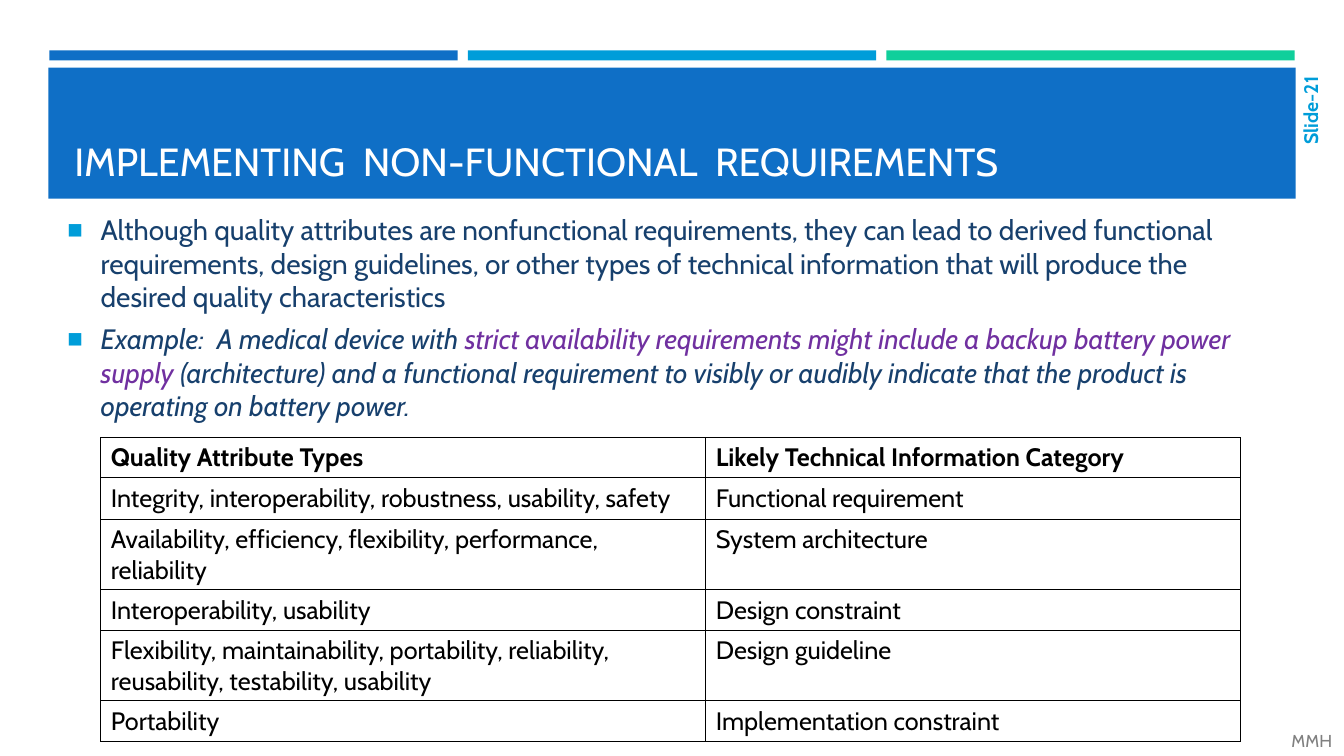
from lxml import etree
from pptx import Presentation, util as u
from pptx.dml.color import RGBColor
from pptx.enum import shapes, text
from pptx.oxml.ns import qn

PX = 9144  # 100 px to the inch
COLORS = {"blue": "0F6FC6", "cyan": "009DD9", "green": "10CF9B", "white": "FFFFFF",
          "navy": "17406D", "purple": "7030A0", "black": "000000", "gray": "808080"}


def add_span(para, words, size, color, **format_values):
    span = para.add_run()
    span.text = words
    span.font.name = "Cabin"
    span.font.size = u.Pt(size)
    span.font.color.rgb = RGBColor.from_string(COLORS[color])
    for name, value in format_values.items():
        setattr(span.font, name, value)


def add_box(left, top, width, height, anchor=text.MSO_ANCHOR.MIDDLE):
    """Add a wrapping text box and return its text frame."""
    box = page.shapes.add_textbox(left * PX, top * PX, width * PX, height * PX)
    box.text_frame.word_wrap = True
    box.text_frame.vertical_anchor = anchor
    return box.text_frame


deck = Presentation()
deck.slide_width, deck.slide_height = 1333 * PX, 750 * PX
page = deck.slides.add_slide(deck.slide_layouts[6])

# Three thin bars above the title band
bands = [(49 + 415 * column, 50, 405, 10, color)
         for column, color in enumerate(["blue", "cyan", "green"])]
bands.append((48, 67, 1237, 130, "blue"))
for left, top, width, height, color in bands:
    band = page.shapes.add_shape(shapes.MSO_SHAPE.RECTANGLE,
                                 left * PX, top * PX, width * PX, height * PX)
    band.shadow.inherit = False
    band.fill.solid()
    band.fill.fore_color.rgb = RGBColor.from_string(COLORS[color])
    band.line.fill.background()

title = add_box(64, 77, 1206, 111, text.MSO_ANCHOR.BOTTOM)
add_span(title.paragraphs[0], "IMPLEMENTING  NON-FUNCTIONAL  REQUIREMENTS", 28, "white")

# Bulleted body
bullets = [
    [("Although quality attributes are nonfunctional requirements, they can lead to derived "
      "functional requirements, design guidelines, or other types of technical information "
      "that will produce the desired quality characteristics", "navy", False)],
    [("Example:  A medical device with ", "navy", True),
     ("strict availability requirements might include a backup battery power supply ",
      "purple", True),
     ("(architecture) and a functional requirement to visibly or audibly indicate that the "
      "product is operating on battery power.", "navy", True)],
]
body = add_box(57, 210, 1206, 210)
for index, spans in enumerate(bullets):
    para = body.add_paragraph() if index else body.paragraphs[0]
    para.space_after = u.Pt(6)
    properties = para._p.get_or_add_pPr()
    properties.set("marL", str(33 * PX))
    properties.set("indent", str(-33 * PX))
    bullet_color = etree.SubElement(properties, qn("a:buClr"))
    etree.SubElement(bullet_color, qn("a:srgbClr"), val=COLORS["cyan"])
    etree.SubElement(properties, qn("a:buSzPct"), val="92000")
    etree.SubElement(properties, qn("a:buFont"), typeface="Arial")
    etree.SubElement(properties, qn("a:buChar"), char="■")
    for words, color, italic in spans:
        add_span(para, words, 20, color, italic=italic)

slide_number = add_box(1287, 66, 25, 91)
slide_number._txBody.bodyPr.set("vert", "vert270")
slide_number.paragraphs[0].alignment = text.PP_ALIGN.RIGHT
add_span(slide_number.paragraphs[0], "Slide-21", 14, "cyan", bold=True)

# Table of attribute types, each row with its height
rows = [
    (38, "Quality Attribute Types", "Likely Technical Information Category"),
    (41, "Integrity, interoperability, robustness, usability, safety",
     "Functional requirement"),
    (66, "Availability, efficiency, flexibility, performance, reliability",
     "System architecture"),
    (38, "Interoperability, usability", "Design constraint"),
    (66, "Flexibility, maintainability, portability, reliability, reusability, "
     "testability, usability", "Design guideline"),
    (38, "Portability", "Implementation constraint"),
]
table = page.shapes.add_table(len(rows), 2, 100 * PX, 434 * PX, 1130 * PX, 297 * PX).table
table.first_row = table.horz_banding = False
for column, width in zip(table.columns, [600, 530]):
    column.width = width * PX
for row_index, (height, *entries) in enumerate(rows):
    table.rows[row_index].height = height * PX
    for column_index, words in enumerate(entries):
        cell = table.cell(row_index, column_index)
        add_span(cell.text_frame.paragraphs[0], words, 18, "black", bold=row_index == 0)
        properties = cell._tc.get_or_add_tcPr()
        for side in ["lnL", "lnR", "lnT", "lnB"]:
            border = etree.SubElement(properties, qn("a:" + side), w=str(u.Pt(0.75)))
            paint = etree.SubElement(border, qn("a:solidFill"))
            etree.SubElement(paint, qn("a:srgbClr"), val=COLORS["black"])
        cell.fill.background()

initials = add_box(1271, 720, 62, 30)
initials.margin_right = 0
add_span(initials.paragraphs[0], "MMH", 12.3, "gray")

deck.save("out.pptx")
